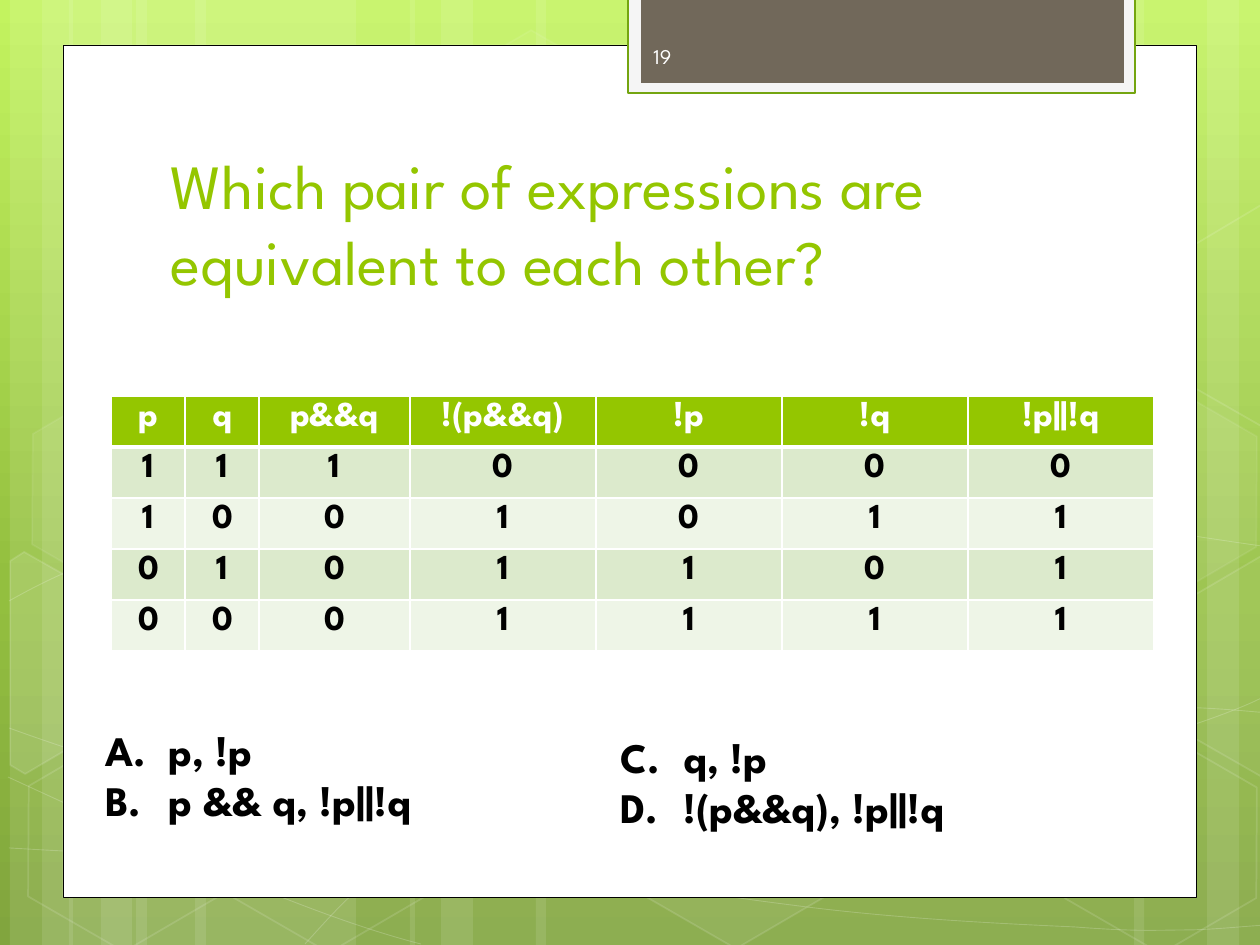
import copy
import math

import lxml.etree
import pptx
import pptx.dml.color
import pptx.enum.shapes
import pptx.enum.text
import pptx.oxml.ns
import pptx.util

FONT = "League Spartan"
COLORS = {
    "light": "C3F35F", "middle": "93BF3F", "dark": "81A53E", "white": "FFFFFF",
    "black": "000000", "green": "94C600", "frame": "F5F5F5", "frame_line": "74A510",
    "brown": "71685A", "number": "FEFEFE", "odd": "DCEACC", "even": "EEF5E7",
}
BACKGROUND = [(0, "light"), (0.62, "middle"), (1, "dark")]
TITLE = "Which pair of expressions are equivalent to each other?"
NUMBER = "19"
TRUTH_TABLE = [
    ["p", "q", "p&&q", "!(p&&q)", "!p", "!q", "!p||!q"],
    ["1", "1", "1", "0", "0", "0", "0"],
    ["1", "0", "0", "1", "0", "1", "1"],
    ["0", "1", "0", "1", "1", "0", "1"],
    ["0", "0", "0", "1", "1", "1", "1"],
]
COLUMN_WIDTHS = [74, 74, 151, 186, 186, 186, 186]
ROW_HEIGHT = 51
ANSWERS = [
    ((84, 718, 588, 115), 1, ["p, !p", "p && q, !p||!q"]),
    ((599, 725, 514, 115), 3, ["q, !p", "!(p&&q), !p||!q"]),
]
STRIPES = [
    (136, 220, 0), (10, 63, 0), (42, 105, 0), (195, 220, 0), (69, 63, 0), (101, 105, 0),
    (924, 220, 180), (1207, 63, 180), (1134, 105, 180),
    (536, 388, 0), (410, 63, 0), (441, 105, 0),
]
CURVES = [
    [(9, 848), (77, 852), (145, 856), (239, 854), (334, 853), (451, 851), (577, 838),
     (703, 825), (882, 801), (998, 777), (1113, 753), (1231, 716), (1269, 694)],
    [(9, 601), (45, 581), (82, 562), (152, 543), (224, 524), (326, 496), (437, 488),
     (549, 479), (685, 478), (824, 488), (963, 498), (1193, 537), (1269, 547)],
    [(8, 777), (160, 847), (311, 916), (421, 944)],
    [(9, 728), (48, 742), (88, 756), (161, 776), (234, 795), (344, 827), (450, 848),
     (554, 869), (687, 892), (791, 905), (896, 919), (1008, 924), (1075, 927),
     (1140, 932), (1158, 930), (1191, 930), (1223, 929), (1246, 926), (1269, 925)],
    [(305, 944), (328, 919), (350, 893), (381, 871), (411, 848), (454, 823), (489, 805),
     (524, 787), (546, 780), (592, 767), (638, 755), (722, 737), (766, 728),
     (811, 719), (818, 719), (857, 717), (896, 713), (958, 709), (1000, 708),
     (1045, 707), (1116, 708), (1116, 708), (1144, 708), (1173, 708), (1201, 708),
     (1223, 709), (1245, 711), (1256, 712), (1268, 713), (1264, 712), (1268, 713)],
]
HEXAGONS = [
    (421, 45, 4, 8), (626, 742, 6, 12), (14, 745, 0, 12), (18, 393, 7, 8),
    (219, 746, 0, 12), (949, 571, 10, 12), (1051, 747, 0, 12), (1051, 396, 7, 8),
]
TILT = 30
CUT_HEXAGONS = [
    ((45, 674), 10,
     [(10, 561), (24, 552), (121, 607), (120, 718), (25, 774), (10, 765)]),
    ((1241, 655), 4,
     [(1167, 611), (1261, 556), (1271, 562), (1271, 772), (1263, 777), (1167, 722)]),
    ((1241, 304), 0,
     [(1167, 261), (1261, 205), (1273, 212), (1271, 422), (1263, 427), (1167, 372)]),
]
PANELS = [
    ((63, 45, 1134, 853), "white", "black", 0.5),
    ((628, -3, 507, 96), "frame", "frame_line", 1.25),
    ((641, -3, 483, 86), "brown", None, 0),
]
SHAPES = pptx.enum.shapes.MSO_SHAPE


def px(value):
    return pptx.util.Emu(round(value * 914400 / 126))


def color(name):
    return pptx.dml.color.RGBColor.from_string(COLORS[name])


def add_element(parent, tag, **attributes):
    element = lxml.etree.SubElement(parent, pptx.oxml.ns.qn(tag))
    for key, value in attributes.items():
        element.set(key, str(value))
    return element


def paint(fill, name, parent, opacity=100):
    fill.solid()
    fill.fore_color.rgb = color(name)
    if opacity < 100:
        srgb = parent.find(pptx.oxml.ns.qn("a:solidFill"))[0]
        add_element(srgb, "a:alpha", val=opacity * 1000)


def style(shape, fill=None, opacity=100, line=None, width=0, line_opacity=100):
    shape.shadow.inherit = False
    properties = shape._element.spPr
    if fill and opacity:
        paint(shape.fill, fill, properties, opacity)
    else:
        shape.fill.background()
    if line:
        shape.line.width = pptx.util.Pt(width)
        outline = properties.find(pptx.oxml.ns.qn("a:ln"))
        paint(shape.line.fill, line, outline, line_opacity)
    else:
        shape.line.fill.background()


def add_outline(shapes, points, close):
    points = [(px(x), px(y)) for x, y in points]
    builder = shapes.build_freeform(*points[0], scale=1.0)
    builder.add_line_segments(points[1:], close=close)
    return builder.convert_to_shape()


def add_curve(shapes, points):
    shape = add_outline(shapes, points, False)
    outline = shape._element.find(".//" + pptx.oxml.ns.qn("a:path"))
    segments = outline.findall(pptx.oxml.ns.qn("a:lnTo"))
    for start in range(0, len(segments), 3):
        curve = add_element(outline, "a:cubicBezTo")
        for segment in segments[start:start + 3]:
            curve.append(segment[0])
            outline.remove(segment)
    return shape


def turn_back(point, center):
    angle = math.radians(-TILT)
    x, y = point[0] - center[0], point[1] - center[1]
    return (center[0] + x * math.cos(angle) - y * math.sin(angle),
            center[1] + x * math.sin(angle) + y * math.cos(angle))


def write(paragraph, text, size, name, bold=False):
    run = paragraph.add_run()
    run.text = text
    run.font.name = FONT
    run.font.size = pptx.util.Pt(size)
    run.font.bold = bold
    run.font.color.rgb = color(name)


def add_background(slide):
    fill = slide.background.fill
    fill.gradient()
    fill.gradient_angle = 270
    stops = slide._element.find(".//" + pptx.oxml.ns.qn("a:gsLst"))
    stops.insert(1, copy.deepcopy(stops[0]))
    for stop, (position, name) in zip(fill.gradient_stops, BACKGROUND):
        stop.position = position
        stop.color.rgb = color(name)


def add_decoration(shapes):
    for left, width, rotation in STRIPES:
        stripe = shapes.add_shape(SHAPES.RECTANGLE, px(left), 0, px(width), px(945))
        stripe.rotation = rotation
        style(stripe, "white", 10)
    for points in CURVES:
        style(add_curve(shapes, points), line="white", width=0.5, line_opacity=20)
    for left, top, opacity, line_opacity in HEXAGONS:
        hexagon = shapes.add_shape(SHAPES.HEXAGON, px(left), px(top), px(220), px(192))
        hexagon.adjustments[0] = 0.285
        hexagon.rotation = TILT
        style(hexagon, "white", opacity, "white", 1, line_opacity)
    for center, opacity, points in CUT_HEXAGONS:
        upright = [turn_back(point, center) for point in points]
        hexagon = add_outline(shapes, upright, True)
        hexagon.rotation = TILT
        style(hexagon, "white", opacity, "white", 1, 12)
    for box, fill, line, width in PANELS:
        panel = shapes.add_shape(SHAPES.RECTANGLE, *map(px, box))
        style(panel, fill, 100, line, width)


def place_title(shapes):
    title = shapes.title
    shapes._spTree.append(title._element)
    title.left, title.top, title.width, title.height = map(px, (158, 146, 968, 158))
    frame = title.text_frame
    frame.auto_size = pptx.enum.text.MSO_AUTO_SIZE.NONE
    frame.vertical_anchor = pptx.enum.text.MSO_ANCHOR.BOTTOM
    frame.paragraphs[0].alignment = pptx.enum.text.PP_ALIGN.LEFT
    write(frame.paragraphs[0], TITLE, 36, "green")


def add_truth_table(shapes):
    box = (111, 396, sum(COLUMN_WIDTHS), ROW_HEIGHT * len(TRUTH_TABLE))
    table = shapes.add_table(len(TRUTH_TABLE), len(COLUMN_WIDTHS), *map(px, box)).table
    for column, width in zip(table.columns, COLUMN_WIDTHS):
        column.width = px(width)
    for index, values in enumerate(TRUTH_TABLE):
        table.rows[index].height = px(ROW_HEIGHT)
        for position, value in enumerate(values):
            cell = table.cell(index, position)
            cell.margin_left = cell.margin_right = px(28)
            cell.margin_top = cell.margin_bottom = px(6)
            for side in "LRTB":
                thick = (index, side) in ((0, "B"), (1, "T"))
                border = add_element(cell._tc.get_or_add_tcPr(), "a:ln" + side,
                                     w=pptx.util.Pt(3 if thick else 1))
                add_element(add_element(border, "a:solidFill"), "a:srgbClr",
                            val=COLORS["white"])
            cell.fill.solid()
            cell.fill.fore_color.rgb = color(
                "green" if index == 0 else "odd" if index % 2 else "even")
            paragraph = cell.text_frame.paragraphs[0]
            paragraph.alignment = pptx.enum.text.PP_ALIGN.CENTER
            write(paragraph, value, 20, "black" if index else "white", True)


def add_answers(shapes):
    for box, start, choices in ANSWERS:
        frame = shapes.add_textbox(*map(px, box)).text_frame
        frame.word_wrap = True
        frame.auto_size = pptx.enum.text.MSO_AUTO_SIZE.SHAPE_TO_FIT_TEXT
        for index, choice in enumerate(choices):
            paragraph = frame.add_paragraph() if index else frame.paragraphs[0]
            properties = paragraph._p.get_or_add_pPr()
            properties.set("marL", str(px(72)))
            properties.set("indent", str(px(-63)))
            add_element(properties, "a:buAutoNum", type="alphaUcPeriod", startAt=start)
            write(paragraph, choice, 24, "black", True)


def add_number(shapes):
    frame = shapes.add_textbox(*map(px, (641, 31, 184, 50))).text_frame
    frame.word_wrap = True
    frame.vertical_anchor = pptx.enum.text.MSO_ANCHOR.MIDDLE
    write(frame.paragraphs[0], NUMBER, 12, "number")


def main():
    presentation = pptx.Presentation()
    presentation.slide_width, presentation.slide_height = px(1260), px(945)
    slide = presentation.slides.add_slide(presentation.slide_layouts[5])
    add_background(slide)
    add_decoration(slide.shapes)
    place_title(slide.shapes)
    add_truth_table(slide.shapes)
    add_number(slide.shapes)
    add_answers(slide.shapes)
    presentation.save("out.pptx")


if __name__ == "__main__":
    main()
